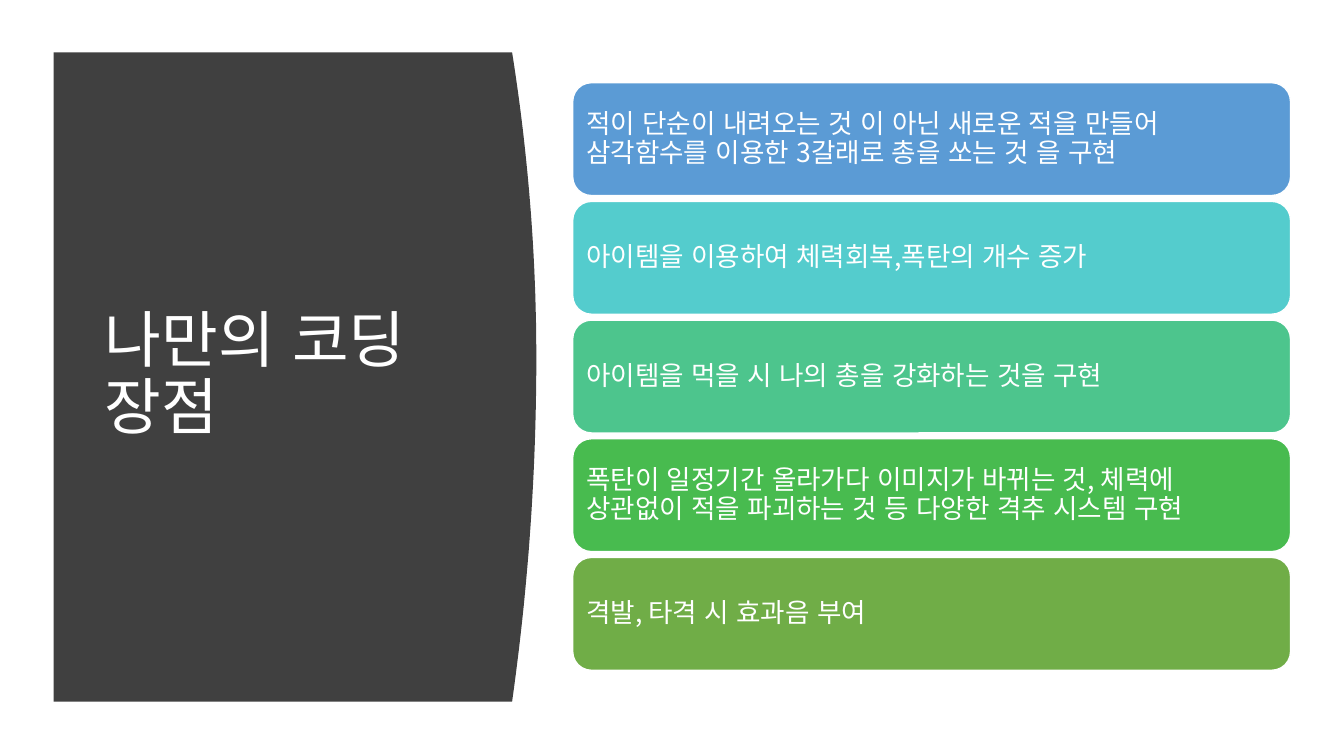
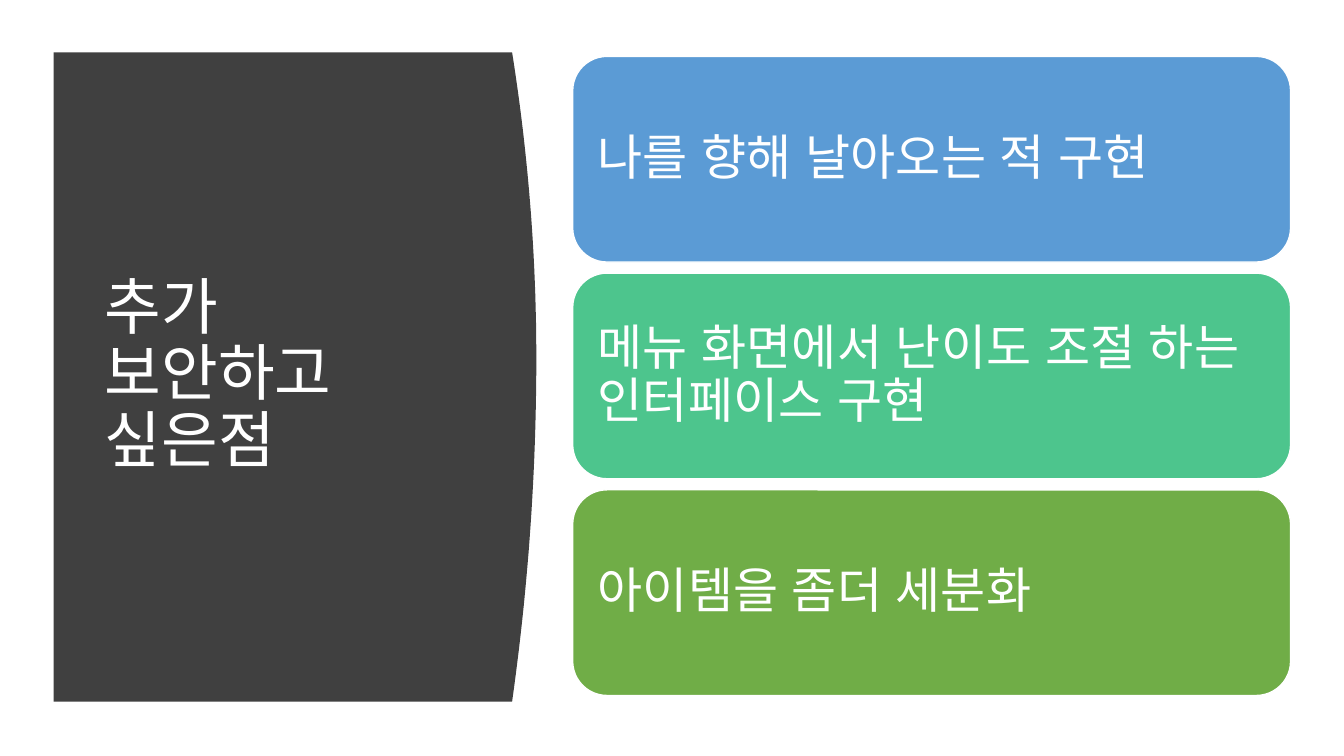
from lxml import etree
from pptx import Presentation
from pptx.dml.color import RGBColor
from pptx.enum.shapes import MSO_SHAPE
from pptx.enum.text import MSO_ANCHOR, MSO_AUTO_SIZE, PP_ALIGN
from pptx.oxml.ns import qn
from pptx.util import Inches, Pt

ROUND = MSO_SHAPE.ROUNDED_RECTANGLE
MIDDLE = MSO_ANCHOR.MIDDLE
LEFT = PP_ALIGN.LEFT
FIXED = MSO_AUTO_SIZE.NONE

FONT = "Noto Sans CJK KR"
HEX = {
    "white": "FFFFFF", "dark": "404040", "blue": "5B9BD5", "cyan": "54CCCD",
    "mint": "4DC58D", "green": "48BB4F", "olive": "70AD47",
}
COL = {name: RGBColor.from_string(code) for name, code in HEX.items()}

# Shared places, in inches
WIDE, HIGH = 13.33, 7.5
SIDE, TOP, END = 0.04 * WIDE, 0.52, 6.96    # dark panel
EDGE, BULGE, PEAK = 5.08, 0.24, 3.55        # its curved right edge
STEPS = 48
CARD_X, CARD_W = 5.68, 7.12                 # column of cards

# Each slide: title, top and bottom of the column, card height,
# text size, text inset, cards
SLIDES = [
    ("나만의 코딩 장점", 0.82, 6.65, 1.12, 19, 0.08, [
        ("blue", "적이 단순이 내려오는 것 이 아닌 새로운 적을 만들어 "
                 "삼각함수를 이용한 3갈래로 총을 쏘는 것 을 구현"),
        ("cyan", "아이템을 이용하여 체력회복,폭탄의 개수 증가"),
        ("mint", "아이템을 먹을 시 나의 총을 강화하는 것을 구현"),
        ("green", "폭탄이 일정기간 올라가다 이미지가 바뀌는 것, 체력에 "
                  "상관없이 적을 파괴하는 것 등 다양한 격추 시스템 구현"),
        ("olive", "격발, 타격 시 효과음 부여"),
    ]),
    ("추가 보안하고 싶은점", 0.56, 6.9, 2.04, 35, 0.15, [
        ("blue", "나를 향해 날아오는 적 구현"),
        ("mint", "메뉴 화면에서 난이도 조절 하는 인터페이스 구현"),
        ("olive", "아이템을 좀더 세분화"),
    ]),
]


def write(shape, text, size, inset):
    """Put white, left-aligned text in the middle of a shape."""
    frame = shape.text_frame
    frame.word_wrap = True
    frame.auto_size = FIXED
    frame.vertical_anchor = MIDDLE
    frame.margin_left = frame.margin_right = Inches(inset)
    frame.margin_top = frame.margin_bottom = Inches(inset)
    para = frame.paragraphs[0]
    para.alignment = LEFT
    para.line_spacing = 0.9
    run = para.add_run()
    run.text = text
    run.font.size = Pt(size)
    run.font.name = FONT
    run.font.color.rgb = COL["white"]
    # Korean text needs its own font and language
    props = run.font._element
    props.set("lang", "ko-KR")
    etree.SubElement(props, qn("a:ea")).set("typeface", FONT)


def bow(y):
    """Give the x of the curved edge at height y."""
    span = PEAK - TOP if y < PEAK else END - PEAK
    return EDGE + BULGE * (1 - ((y - PEAK) / span) ** 2)


deck = Presentation()
deck.slide_width, deck.slide_height = Inches(WIDE), Inches(HIGH)
layout = deck.slide_layouts.get_by_name("Title Only")

rows = [TOP + (END - TOP) * i / STEPS for i in range(STEPS + 1)]
curve = [(Inches(bow(y)), Inches(y)) for y in rows]

for head, top, end, tall, size, inset, cards in SLIDES:
    slide = deck.slides.add_slide(layout)
    shapes = slide.shapes
    title = shapes.title

    # Dark panel, behind the title
    pen = shapes.build_freeform(Inches(SIDE), Inches(TOP))
    pen.add_line_segments(curve + [(Inches(SIDE), Inches(END))], close=True)
    panel = pen.convert_to_shape()
    panel.shadow.inherit = False
    panel.fill.solid()
    panel.fill.fore_color.rgb = COL["dark"]
    panel.line.fill.background()
    title._element.addprevious(panel._element)

    # Title
    title.left, title.top = Inches(0.94), Inches(1.11)
    title.width, title.height = Inches(3.74), Inches(5.24)
    write(title, head, 44, 0.1)

    # Cards, evenly spread down the column
    pitch = (end - top - tall) / (len(cards) - 1)
    for i, (tint, text) in enumerate(cards):
        card = shapes.add_shape(ROUND, Inches(CARD_X), Inches(top + i * pitch),
                                Inches(CARD_W), Inches(tall))
        card.shadow.inherit = False
        card.fill.solid()
        card.fill.fore_color.rgb = COL[tint]
        card.line.color.rgb = COL["white"]
        card.line.width = Pt(1)
        write(card, text, size, inset)

deck.save("out.pptx")
